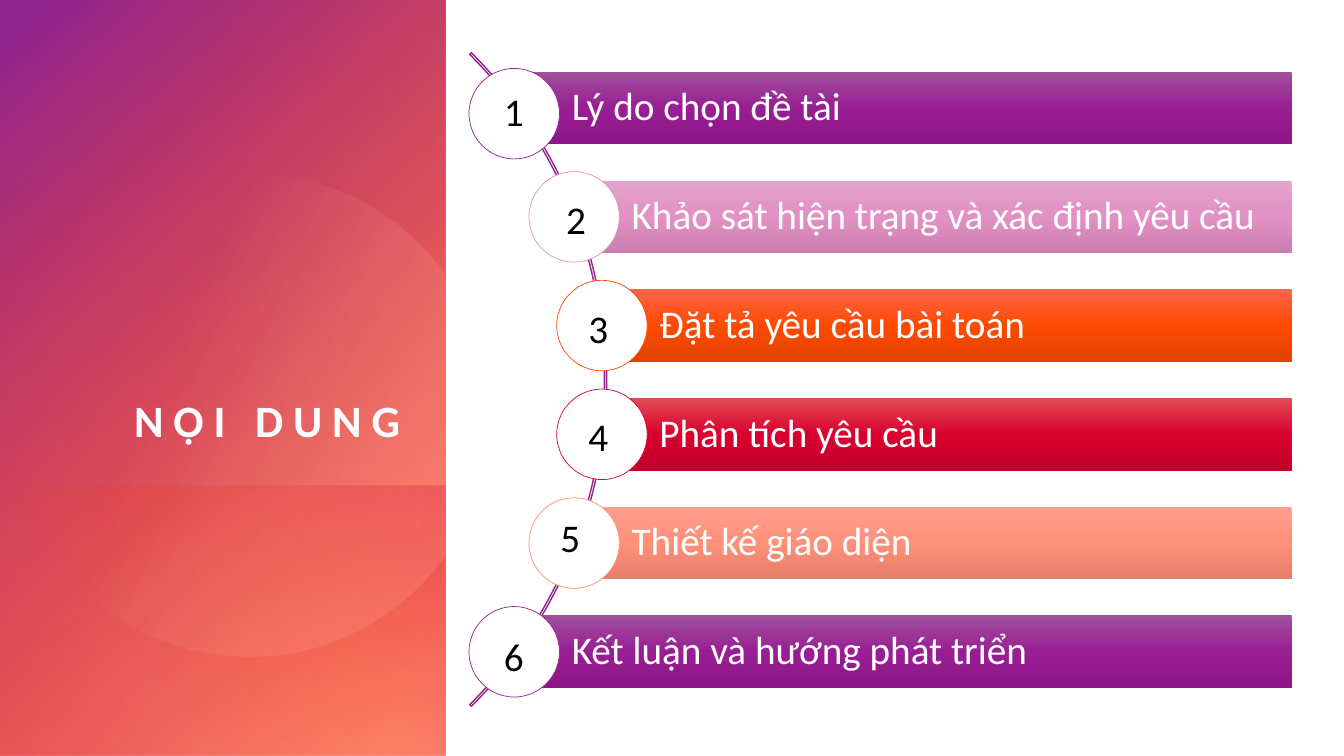
from lxml.etree import SubElement
from pptx import Presentation
from pptx.dml.color import RGBColor
from pptx.enum.shapes import MSO_SHAPE as Shape
from pptx.enum.text import MSO_ANCHOR as Anchor, MSO_AUTO_SIZE as AutoSize, PP_ALIGN as Align
from pptx.oxml.ns import qn
from pptx.util import Cm, Pt

FONT = "Calibri"
PURPLE, PINK, ORANGE, RED, SALMON = "92248E", "DE95C4", "FE4A00", "DA002F", "FF907A"
WHITE, BLACK = "FFFFFF", "000000"

# Gradient of the bar for each accent: top, middle, bottom
BAR_TONES = {
    PURPLE: ("A0509C", "981E93", "8C1687"),
    PINK: ("E3A2CB", "E291C5", "CD7CB0"),
    ORANGE: ("FF654B", "FE4A00", "E24200"),
    RED: ("E04B55", "DA002F", "C2002A"),
    SALMON: ("FF9F8D", "FF907A", "E57E6A"),
}

# Topic, accent, bar left, number left, number top (cm)
TOPICS = [
    ("Lý do chọn đề tài", PURPLE, 12.96, 12.45, 2.08),
    ("Khảo sát hiện trạng và xác định yêu cầu", PINK, 14.47, 14.02, 4.8),
    ("Đặt tả yêu cầu bài toán", ORANGE, 15.17, 14.58, 7.54),
    ("Phân tích yêu cầu", RED, 15.17, 14.58, 10.26),
    ("Thiết kế giáo diện", SALMON, 14.47, 13.87, 12.8),
    ("Kết luận và hướng phát triển", PURPLE, 12.96, 12.45, 15.8),
]
BAR_TOP, BAR_STEP, BAR_HEIGHT, BAR_RIGHT = 1.81, 2.74, 1.83, 32.55
CIRCLE_SIZE = 2.28
FIRST_CIRCLE_DROP = 0.14

# Side panel, and the disc cut off at its right edge (cm)
PANEL_WIDTH, SLIDE_HEIGHT = 11.23, 19.05
DISC_START = (6.27, 4.37)
DISC_EDGES = [
    [(6.65, 4.37), (7.09, 4.42), (7.49, 4.5)],
    [(8.94, 4.78), (10.13, 5.56), (11, 6.63)],
    [(11.23, 6.93)],
    [(11.23, 13.97)],
    [(10.92, 14.38)],
    [(9.53, 16.03), (7.29, 16.89), (5.03, 16.41)],
    [(1.73, 15.72), (-0.38, 12.52), (0.3, 9.22)],
    [(0.89, 6.35), (3.43, 4.34), (6.27, 4.37)],
]


def color(hex_code):
    return RGBColor.from_string(hex_code)


def fill_gradient(shape, stops, angle):
    """Each stop is position %, hex colour, opacity %."""
    shape.fill.background()
    properties = shape.element.spPr
    gradient = properties.makeelement(qn("a:gradFill"), {"rotWithShape": "1"})
    stop_list = SubElement(gradient, qn("a:gsLst"))
    for position, hex_code, opacity in stops:
        stop = SubElement(stop_list, qn("a:gs"), pos=str(position * 1000))
        tone = SubElement(stop, qn("a:srgbClr"), val=str(color(hex_code)))
        if opacity < 100:
            SubElement(tone, qn("a:alpha"), val=str(opacity * 1000))
    SubElement(gradient, qn("a:lin"), ang=str(angle * 60000), scaled="0")
    properties.replace(properties.find(qn("a:noFill")), gradient)


def add_shape(slide, kind, left, top, width, height):
    shape = slide.shapes.add_shape(kind, Cm(left), Cm(top), Cm(width), Cm(height))
    shape.shadow.inherit = False
    shape.line.fill.background()
    return shape


def set_outline(shape, hex_code, points):
    shape.line.color.rgb = color(hex_code)
    shape.line.width = Pt(points)


def add_run(paragraph, text, size, hex_code, bold=False):
    run = paragraph.add_run()
    run.text = text
    run.font.name, run.font.size, run.font.bold = FONT, Pt(size), bold
    run.font.color.rgb = color(hex_code)
    return run


def set_insets(frame, left, top, right, bottom):
    frame.margin_left, frame.margin_top = Cm(left), Cm(top)
    frame.margin_right, frame.margin_bottom = Cm(right), Cm(bottom)


def add_panel_layer(slide, top, stops, angle):
    """A layer turned a quarter, reaching from top to the slide's lower edge."""
    length = SLIDE_HEIGHT - top
    left = (PANEL_WIDTH - length) / 2
    layer = add_shape(slide, Shape.RECTANGLE, left, top - left, length, PANEL_WIDTH)
    layer.rotation = 90
    layer.element.spPr.find(qn("a:xfrm")).set("flipH", "1")
    fill_gradient(layer, stops, angle)


def curve_points(start, first, second, end, steps=16):
    for step in range(1, steps + 1):
        t = step / steps
        u = 1 - t
        yield tuple(u**3 * a + 3 * u * u * t * b + 3 * u * t * t * c + t**3 * d
                    for a, b, c, d in zip(start, first, second, end))


def add_disc(slide):
    points = [DISC_START]
    for edge in DISC_EDGES:
        points += curve_points(points[-1], *edge) if len(edge) == 3 else edge
    outline = [(Cm(x), Cm(y)) for x, y in points]
    builder = slide.shapes.build_freeform(*outline[0])
    builder.add_line_segments(outline[1:], close=True)
    disc = builder.convert_to_shape()
    disc.shadow.inherit = False
    disc.line.fill.background()
    fill_gradient(disc, [(39, "FFDBCC", 0), (100, SALMON, 29)], 22)


def format_title(slide, text):
    title = slide.shapes.title
    title.element.getparent().append(title.element)  # in front of the panel
    title.left, title.top, title.width, title.height = Cm(1.07), Cm(2.87), Cm(9.02), Cm(8.38)
    frame = title.text_frame
    frame.auto_size = AutoSize.NONE
    frame.vertical_anchor = Anchor.BOTTOM
    set_insets(frame, 0, 0, 0, 0)
    paragraph = frame.paragraphs[0]
    paragraph.alignment = Align.RIGHT
    run = add_run(paragraph, text, 32, WHITE, bold=True)
    run.font._element.set("spc", "700")


def add_arc(slide):
    arc = add_shape(slide, Shape.BLOCK_ARC, -8, -2.08, 23.29, 23.29)
    arc.fill.background()
    set_outline(arc, PURPLE, 1)
    for index, value in enumerate((189, 27, 0.0025)):
        arc.adjustments[index] = value


def add_bar(slide, topic, accent, left, top):
    bar = add_shape(slide, Shape.RECTANGLE, left, top, BAR_RIGHT - left, BAR_HEIGHT)
    fill_gradient(bar, [(p, tone, 100) for p, tone in zip((0, 50, 100), BAR_TONES[accent])], 90)
    frame = bar.text_frame
    frame.word_wrap = True
    frame.vertical_anchor = Anchor.MIDDLE
    set_insets(frame, 1.45, 0.2, 0.2, 0.2)
    paragraph = frame.paragraphs[0]
    paragraph.alignment = Align.LEFT
    paragraph.line_spacing = 0.9
    add_run(paragraph, topic, 28, WHITE)


def add_circle(slide, accent, center_x, center_y):
    circle = add_shape(slide, Shape.OVAL, center_x - CIRCLE_SIZE / 2,
                       center_y - CIRCLE_SIZE / 2, CIRCLE_SIZE, CIRCLE_SIZE)
    circle.fill.solid()
    circle.fill.fore_color.rgb = color(WHITE)
    set_outline(circle, accent, 0.5)


def add_number(slide, number, left, top):
    label = slide.shapes.add_textbox(Cm(left), Cm(top), Cm(1.02), Cm(1.45))
    label.text_frame.word_wrap = False
    label.text_frame.auto_size = AutoSize.SHAPE_TO_FIT_TEXT
    add_run(label.text_frame.paragraphs[0], str(number), 28, BLACK)


def main():
    deck = Presentation()
    deck.slide_width, deck.slide_height = Cm(33.87), Cm(SLIDE_HEIGHT)
    slide = deck.slides.add_slide(deck.slide_layouts[5])

    # Side panel with the title
    add_panel_layer(slide, 0, [(8, SALMON, 100), (100, RED, 72)], 60)
    add_panel_layer(slide, 0, [(0, ORANGE, 0), (96, PURPLE, 100)], 40)
    add_panel_layer(slide, 12.24, [(2, RED, 35), (67, ORANGE, 0)], 130)
    add_disc(slide)
    format_title(slide, "NỘI DUNG")

    # Numbered topics along the arc
    add_arc(slide)
    for row, (topic, accent, bar_left, number_left, number_top) in enumerate(TOPICS):
        top = BAR_TOP + row * BAR_STEP
        drop = FIRST_CIRCLE_DROP if row == 0 else 0
        add_bar(slide, topic, accent, bar_left, top)
        add_circle(slide, accent, bar_left, top + BAR_HEIGHT / 2 + drop)
        add_number(slide, row + 1, number_left, number_top)

    deck.save("out.pptx")


if __name__ == "__main__":
    main()
